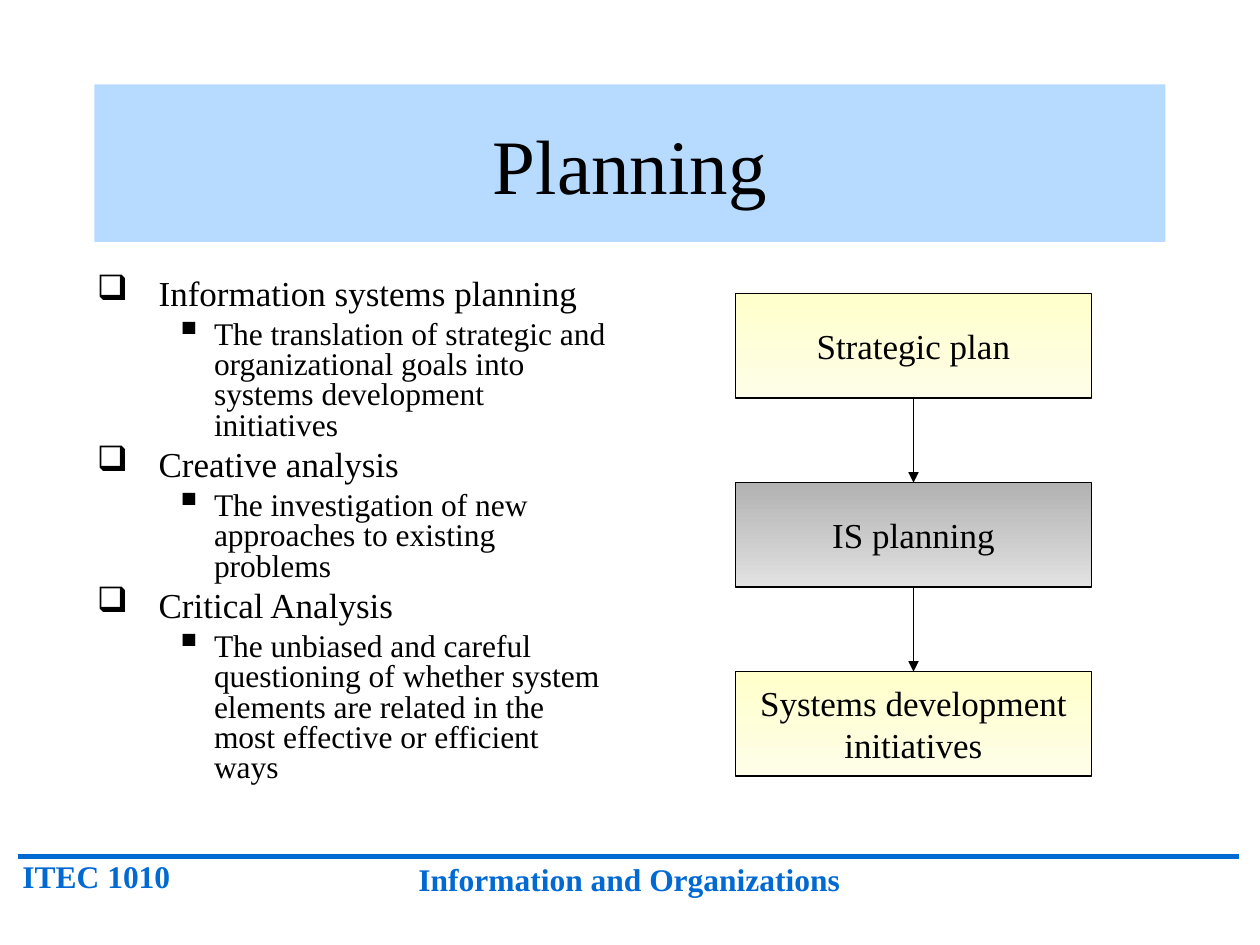
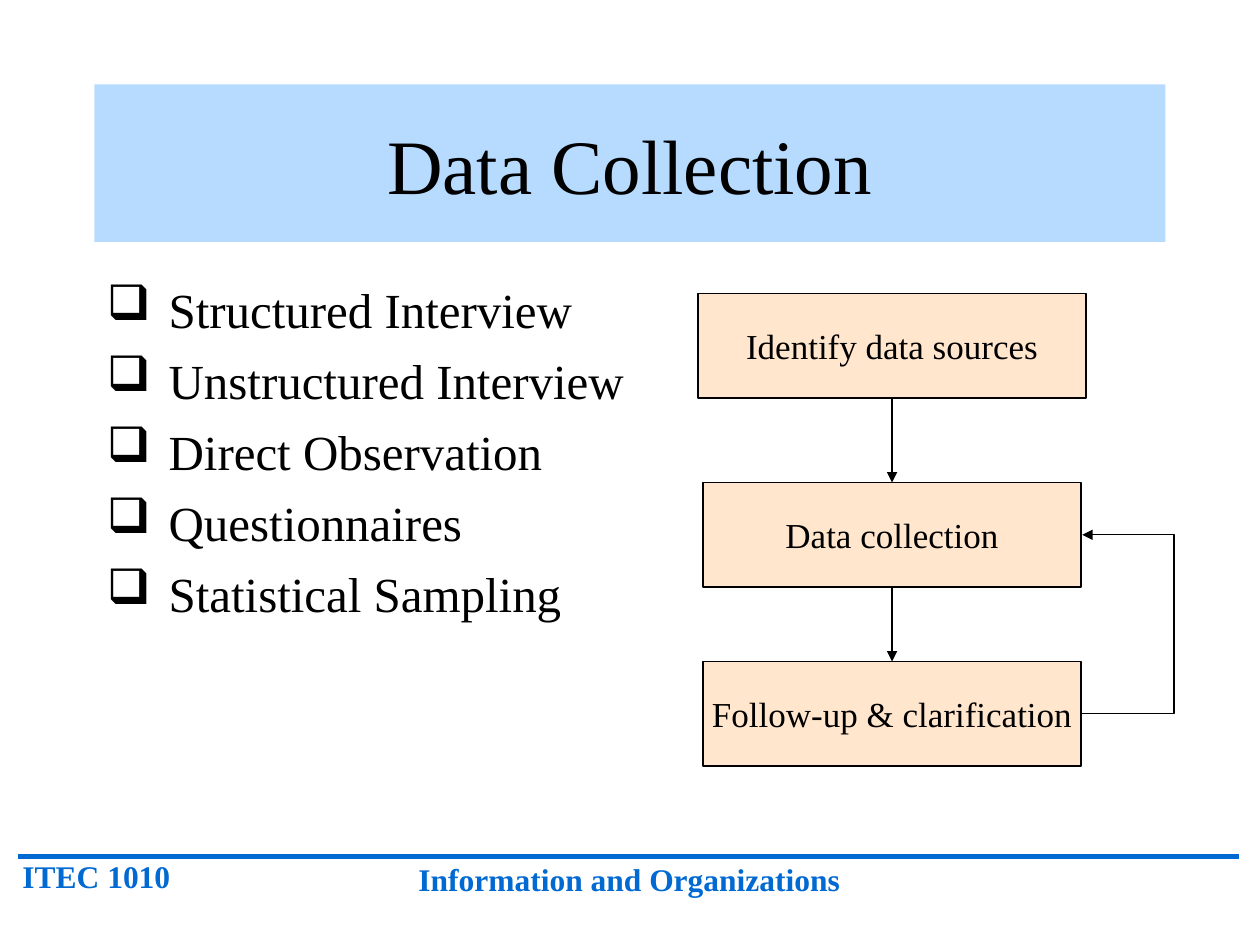
from dataclasses import dataclass
from typing import Optional

import lxml.etree
import pptx
import pptx.dml.color
import pptx.enum.dml
import pptx.enum.shapes
import pptx.enum.text
import pptx.oxml.ns
import pptx.util

Inches = pptx.util.Inches
Pt = pptx.util.Pt
Rgb = pptx.dml.color.RGBColor.from_string
Align = pptx.enum.text.PP_ALIGN
Anchor = pptx.enum.text.MSO_ANCHOR
Connector = pptx.enum.shapes.MSO_CONNECTOR
qn = pptx.oxml.ns.qn


@dataclass(frozen=True)
class Theme:
    font: str = "Times New Roman"
    ink: str = "000000"
    accent: str = "0069D2"
    band: str = "B7DBFF"
    cream: tuple[str, ...] = ("FFFFCC", "FEFEE8")
    grey: tuple[str, ...] = ("B2B2B2", "E2E2E2")
    peach: tuple[str, ...] = ("FFE6CD",)
    title_size: float = 44
    topic_size: float = 28
    term_size: float = 20
    detail_size: float = 18
    step_size: float = 20
    footer_size: float = 18
    thin: float = 0.75
    rule: float = 3


THEME = Theme()
STEP_HEIGHT = 0.83


@dataclass(frozen=True)
class Bullet:
    mark: str
    margin: float
    hang: float
    size: float
    before: float
    spacing: float = 1.0
    mark_percent: int = 100
    level: int = 0


TERM = Bullet("❑", 0.49, 0.49, THEME.term_size, 5, 0.8)
DETAIL = Bullet("▪", 0.93, 0.31, THEME.detail_size, 4.5, 0.8, 120, 1)
TOPIC = Bullet("❑", 0.49, 0.49, THEME.topic_size, 7)


@dataclass(frozen=True)
class Step:
    label: str
    centre: float
    top: float
    width: float
    fill: tuple[str, ...]

    @property
    def left(self) -> float:
        return self.centre - self.width / 2

    @property
    def right(self) -> float:
        return self.centre + self.width / 2

    @property
    def bottom(self) -> float:
        return self.top + STEP_HEIGHT

    @property
    def middle(self) -> float:
        return self.top + STEP_HEIGHT / 2


def write(paragraph, text: str, *, size: float, color: str = THEME.ink,
          bold: bool = False, align=Align.LEFT) -> None:
    paragraph.text = text
    paragraph.alignment = align
    for run in paragraph.runs:
        run.font.name = THEME.font
        run.font.size = Pt(size)
        run.font.bold = bold
        run.font.color.rgb = Rgb(color)


def add_bullet(paragraph, bullet: Bullet) -> None:
    properties = paragraph._p.get_or_add_pPr()
    properties.set("marL", str(Inches(bullet.margin)))
    properties.set("indent", str(-Inches(bullet.hang)))
    color = lxml.etree.SubElement(properties, qn("a:buClr"))
    lxml.etree.SubElement(color, qn("a:srgbClr"), val=THEME.ink)
    lxml.etree.SubElement(properties, qn("a:buSzPct"), val=str(bullet.mark_percent * 1000))
    lxml.etree.SubElement(properties, qn("a:buChar"), char=bullet.mark)


def draw_bullets(slide, left: float, width: float,
                 items: list[tuple[Bullet, str]]) -> None:
    frame = slide.shapes.add_textbox(
        Inches(left), Inches(2.17), Inches(width), Inches(4.5)).text_frame
    frame.word_wrap = True
    for index, (bullet, text) in enumerate(items):
        paragraph = frame.add_paragraph() if index else frame.paragraphs[0]
        add_bullet(paragraph, bullet)
        paragraph.level = bullet.level
        paragraph.line_spacing = bullet.spacing
        if index:
            paragraph.space_before = Pt(bullet.before)
        write(paragraph, text, size=bullet.size)


def draw_rectangle(slide, left: float, top: float, width: float, height: float,
                   fill: tuple[str, ...]):
    rectangle = slide.shapes.add_shape(
        pptx.enum.shapes.MSO_SHAPE.RECTANGLE,
        Inches(left), Inches(top), Inches(width), Inches(height))
    rectangle.shadow.inherit = False
    if len(fill) > 1:
        rectangle.fill.gradient()
        rectangle.fill.gradient_angle = 270
        for stop, color in zip(rectangle.fill.gradient_stops, fill):
            stop.color.rgb = Rgb(color)
    else:
        rectangle.fill.solid()
        rectangle.fill.fore_color.rgb = Rgb(fill[0])
    rectangle.text_frame.vertical_anchor = Anchor.MIDDLE
    return rectangle


def draw_line(slide, start: tuple[float, float], end: tuple[float, float], *,
              color: str = THEME.ink, weight: float = THEME.thin,
              arrow: bool = True, bend: Optional[float] = None) -> None:
    kind = Connector.STRAIGHT if bend is None else Connector.ELBOW
    line = slide.shapes.add_connector(kind, *map(Inches, start + end))
    line.line.color.rgb = Rgb(color)
    line.line.width = Pt(weight)
    properties = line._element.spPr
    if arrow:
        lxml.etree.SubElement(properties.find(qn("a:ln")), qn("a:tailEnd"), type="triangle")
    lxml.etree.SubElement(properties, qn("a:effectLst"))
    if bend is not None:
        guides = properties.find(qn("a:prstGeom")).get_or_add_avLst()
        ratio = round(bend / (end[0] - start[0]) * 100000)
        lxml.etree.SubElement(guides, qn("a:gd"), name="adj1", fmla=f"val {ratio}")


def draw_flow(slide, steps: list[Step]) -> None:
    for step in steps:
        box = draw_rectangle(slide, step.left, step.top, step.width, STEP_HEIGHT, step.fill)
        box.line.color.rgb = Rgb(THEME.ink)
        box.line.width = Pt(THEME.thin)
        box.text_frame.word_wrap = False
        write(box.text_frame.paragraphs[0], step.label,
              size=THEME.step_size, align=Align.CENTER)
    for upper, lower in zip(steps, steps[1:]):
        draw_line(slide, (upper.centre, upper.bottom), (lower.centre, lower.top))


def draw_footer(slide, text: str, left: float, top: float, width: float, align) -> None:
    frame = slide.shapes.add_textbox(
        Inches(left), Inches(top), Inches(width), Inches(0.4)).text_frame
    frame.word_wrap = True
    write(frame.paragraphs[0], text, size=THEME.footer_size,
          color=THEME.accent, bold=True, align=align)


def start_slide(deck, title: str):
    slide = deck.slides.add_slide(deck.slide_layouts[6])
    draw_line(slide, (0.14, 6.8), (9.83, 6.8),
              color=THEME.accent, weight=THEME.rule, arrow=False)
    draw_footer(slide, "ITEC 1010", 0.08, 6.75, 1.67, Align.LEFT)
    draw_footer(slide, "Information and Organizations", 2.58, 6.78, 4.83, Align.CENTER)
    band = draw_rectangle(slide, 0.75, 0.67, 8.5, 1.25, (THEME.band,))
    band.line.fill.background()
    write(band.text_frame.paragraphs[0], title, size=THEME.title_size, align=Align.CENTER)
    return slide


def build_planning(deck) -> None:
    slide = start_slide(deck, "Planning")
    draw_bullets(slide, 0.67, 4.25, [
        (TERM, "Information systems planning"),
        (DETAIL, "The translation of strategic and organizational goals into "
                 "systems development initiatives"),
        (TERM, "Creative analysis"),
        (DETAIL, "The investigation of new approaches to existing problems"),
        (TERM, "Critical Analysis"),
        (DETAIL, "The unbiased and careful questioning of whether system elements "
                 "are related in the most effective or efficient ways"),
    ])
    stages = [
        ("Strategic plan", THEME.cream),
        ("IS planning", THEME.grey),
        ("Systems development\ninitiatives", THEME.cream),
    ]
    draw_flow(slide, [Step(label, 7.25, 2.33 + 1.5 * row, 2.83, fill)
                      for row, (label, fill) in enumerate(stages)])


def build_data_collection(deck) -> None:
    slide = start_slide(deck, "Data Collection")
    topics = ["Structured Interview", "Unstructured Interview", "Direct Observation",
              "Questionnaires", "Statistical Sampling"]
    draw_bullets(slide, 0.75, 8.5, [(TOPIC, topic) for topic in topics])
    sources = Step("Identify data sources", 7.08, 2.33, 3.08, THEME.peach)
    collection = Step("Data collection", 7.08, 3.83, 3, THEME.peach)
    follow_up = Step("Follow-up & clarification", 7.08, 5.25, 3, THEME.peach)
    draw_flow(slide, [sources, collection, follow_up])
    draw_line(slide, (follow_up.right, follow_up.middle),
              (collection.right + 0.01, collection.middle), bend=0.75)


def main() -> None:
    deck = pptx.Presentation()
    deck.slide_width = Inches(10)
    deck.slide_height = Inches(7.5)
    build_planning(deck)
    build_data_collection(deck)
    deck.save("out.pptx")


if __name__ == "__main__":
    main()
